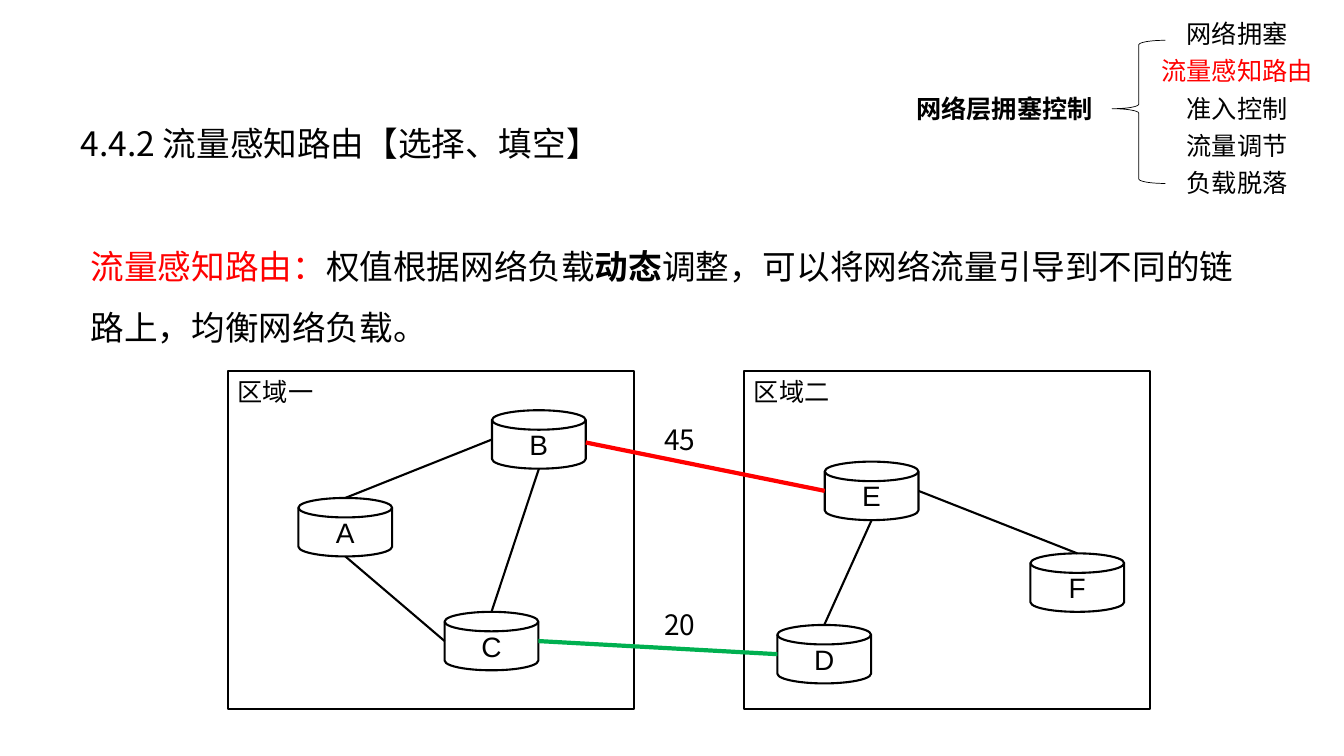
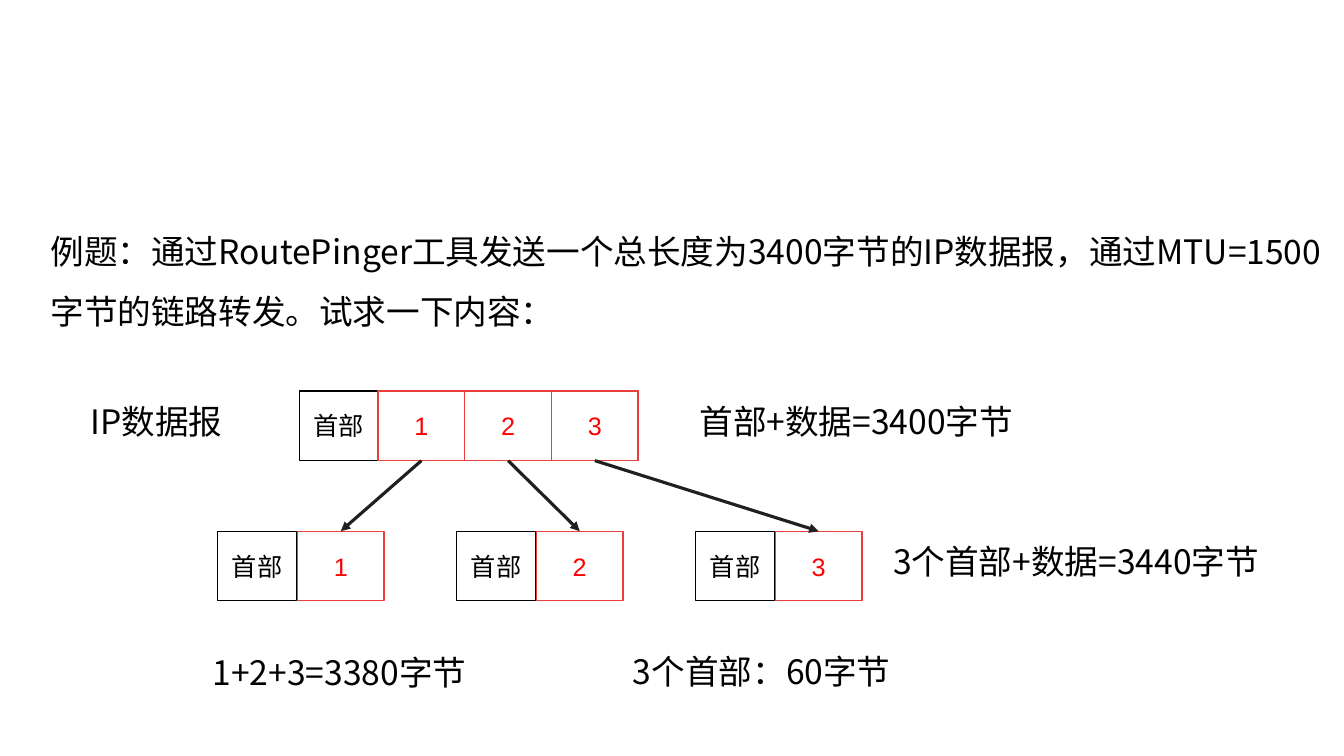
from dataclasses import dataclass
from typing import Optional

from lxml.etree import SubElement
from pptx import Presentation
from pptx.dml.color import RGBColor
from pptx.enum.shapes import MSO_CONNECTOR as Conn, MSO_SHAPE as Shape
from pptx.enum.text import MSO_ANCHOR as Anchor, MSO_AUTO_SIZE as AutoSize, PP_ALIGN as Align
from pptx.oxml.ns import qn
from pptx.util import Inches, Pt

COLORS = {
    "black": "000000",
    "white": "FFFFFF",
    "red": "FF0000",
    "green": "00B050",
    "part": "E9403C",
    "arrow": "202020",
}
CJK = "Noto Sans CJK SC"
LATIN = "Arial"
DISK_W, DISK_H = 0.93, 0.58
BOX_H = 0.69
HEADER_W, PART_W = 0.78, 0.86
DATAGRAM_X, DATAGRAM_Y = 3.75, 3.88
FRAGMENT_X, FRAGMENT_Y, FRAGMENT_STEP = 2.95, 5.27, 2.37


@dataclass(frozen=True)
class Run:
    text: str
    size: int = 24
    color: str = "black"
    bold: bool = False
    font: str = CJK


@dataclass(frozen=True)
class Router:
    name: str
    x: float
    y: float

    def side(self, where: str) -> tuple[float, float]:
        fx, fy = {"top": (0.5, 0), "left": (0, 0.5), "bottom": (0.5, 1), "right": (1, 0.5)}[where]
        return self.x + DISK_W * fx, self.y + DISK_H * fy


@dataclass(frozen=True)
class Link:
    start: str
    start_side: str
    end: str
    end_side: str
    color: str = "black"
    width: float = 1.5
    start_dy: float = 0


@dataclass(frozen=True)
class Label:
    text: str
    x: float
    y: float
    w: float
    h: float = 0.5
    size: int = 24


ROUTERS = {r.name: r for r in (
    Router("A", 2.96, 4.94),
    Router("B", 4.88, 4.07),
    Router("C", 4.41, 6.07),
    Router("D", 7.71, 6.2),
    Router("E", 8.18, 4.58),
    Router("F", 10.22, 5.49),
)}
LINKS = (
    Link("A", "top", "B", "left"),
    Link("C", "top", "B", "bottom"),
    Link("C", "left", "A", "bottom"),
    Link("B", "right", "E", "left", "red", 3, 0.03),
    Link("D", "top", "E", "bottom"),
    Link("C", "right", "D", "left", "green", 3),
    Link("E", "right", "F", "top"),
)
REGIONS = (("区域一", 2.26), ("区域二", 7.38))
COSTS = (Label("45", 6.49, 4.14, 0.6, 0.44, 20), Label("20", 6.49, 5.98, 0.6, 0.44, 20))
TOPICS = ("网络拥塞", "流量感知路由", "准入控制", "流量调节", "负载脱落")
CURRENT_TOPIC = "流量感知路由"
NOTES = (
    Label("IP数据报", 0.8, 3.93, 1.51),
    Label("1+2+3=3380字节", 2.01, 6.42, 3.47),
    Label("3个首部：60字节", 6.18, 6.41, 3.47),
    Label("首部+数据=3400字节", 6.84, 3.93, 4.1),
    Label("3个首部+数据=3440字节", 8.76, 5.32, 4.1),
)


def rgb(name: str) -> RGBColor:
    return RGBColor.from_string(COLORS[name])


def add_runs(p, *runs: Run) -> None:
    for run in runs:
        r = p.add_run()
        r.text = run.text
        r.font.size = Pt(run.size)
        r.font.bold = run.bold
        r.font.color.rgb = rgb(run.color)
        r.font.name = run.font
        SubElement(r.font._element, qn("a:ea"), typeface=CJK)


def place(sp, x: float, y: float, w: float, h: float) -> None:
    sp.left, sp.top, sp.width, sp.height = Inches(x), Inches(y), Inches(w), Inches(h)


def fill_title(s, text: str) -> None:
    sp = s.shapes.title
    place(sp, 0.68, 0.8, 6.75, 1.04)
    tf = sp.text_frame
    tf.auto_size = AutoSize.NONE
    tf.vertical_anchor = Anchor.MIDDLE
    tf.margin_left = tf.margin_right = Inches(0.12)
    tf.margin_top = tf.margin_bottom = Inches(0.06)
    p = tf.paragraphs[0]
    p.alignment = Align.LEFT
    p.line_spacing = 1.5
    add_runs(p, Run(text))


def fill_body(s, x: float, y: float, w: float, *runs: Run) -> None:
    sp = s.placeholders[1]
    place(sp, x, y, w, 1.31)
    tf = sp.text_frame
    tf.auto_size = AutoSize.NONE
    p = tf.paragraphs[0]
    pPr = p._p.get_or_add_pPr()
    pPr.set("marL", "0")
    pPr.set("indent", "0")
    SubElement(pPr, qn("a:buNone"))
    p.line_spacing = 1.5
    p.space_before = Pt(0)
    add_runs(p, *runs)


def add_text(shapes, x: float, y: float, w: float, h: float, run: Run, wrap: bool = True):
    sp = shapes.add_textbox(Inches(x), Inches(y), Inches(w), Inches(h))
    tf = sp.text_frame
    tf.word_wrap = wrap
    tf.auto_size = AutoSize.SHAPE_TO_FIT_TEXT
    p = tf.paragraphs[0]
    add_runs(p, run)
    return p


def add_labels(s, labels: tuple[Label, ...]) -> None:
    for label in labels:
        add_text(s.shapes, label.x, label.y, label.w, label.h, Run(label.text, label.size))


def add_box(shapes, kind: Shape, x: float, y: float, w: float, h: float, run: Optional[Run] = None,
            line: str = "black", width: float = 1.5, fill: Optional[str] = None,
            align: Align = Align.CENTER, anchor: Anchor = Anchor.MIDDLE):
    sp = shapes.add_shape(kind, Inches(x), Inches(y), Inches(w), Inches(h))
    sp.shadow.inherit = False
    if fill:
        sp.fill.solid()
        sp.fill.fore_color.rgb = rgb(fill)
    else:
        sp.fill.background()
    sp.line.color.rgb = rgb(line)
    sp.line.width = Pt(width)
    if run:
        tf = sp.text_frame
        tf.vertical_anchor = anchor
        p = tf.paragraphs[0]
        p.alignment = align
        add_runs(p, run)
    return sp


def add_line(s, start: tuple[float, float], end: tuple[float, float], color: str, width: float):
    ends = [Inches(v) for v in (*start, *end)]
    cx = s.shapes.add_connector(Conn.STRAIGHT, *ends)
    cx.line.color.rgb = rgb(color)
    cx.line.width = Pt(width)
    SubElement(cx._element.spPr, qn("a:effectLst"))
    return cx


def add_arrow(s, source, target) -> None:
    cx = add_line(s, (0, 0), (1, 1), "arrow", 2.25)
    cx.begin_connect(source, 2)
    cx.end_connect(target, 0)
    SubElement(cx.line._get_or_add_ln(), qn("a:tailEnd"), type="triangle")


def add_outline(s) -> None:
    shapes = s.shapes.add_group_shape().shapes
    brace = add_box(shapes, Shape.LEFT_BRACE, 11.03, 0.4, 0.53, 1.42, width=0.5)
    brace.adjustments[0] = 0.083
    brace.adjustments[1] = 0.478
    add_text(shapes, 8.99, 0.88, 1.98, 0.4, Run("网络层拥塞控制", 18, bold=True), wrap=False)
    for i, topic in enumerate(TOPICS):
        color = "red" if topic == CURRENT_TOPIC else "black"
        p = add_text(shapes, 11.41, 0.21 + 0.37 * i, 1.72, 0.33, Run(topic, 18, color), wrap=False)
        p.alignment = Align.CENTER
        p.line_spacing = Pt(16)


def add_header(s, x: float, y: float) -> None:
    add_box(s.shapes, Shape.RECTANGLE, x, y, HEADER_W, BOX_H, Run("首部", 18, font=LATIN),
            width=1, fill="white")


def add_part(s, number: int, x: float, y: float):
    return add_box(s.shapes, Shape.RECTANGLE, x, y, PART_W, BOX_H,
                   Run(str(number), 18, "red", font=LATIN), "part", 1)


def build_routing(prs) -> None:
    s = prs.slides.add_slide(prs.slide_layouts[1])
    fill_title(s, "4.4.2 流量感知路由【选择、填空】")
    fill_body(s, 0.8, 2.19, 11.59,
              Run("流量感知路由：", color="red"),
              Run("权值根据网络负载"),
              Run("动态", bold=True),
              Run("调整，可以将网络流量引导到不同的链路上，均衡网络负载。"))
    add_outline(s)
    for name, x in REGIONS:
        add_box(s.shapes, Shape.RECTANGLE, x, 3.68, 4.03, 3.35, Run(name, 18, font=LATIN),
                align=Align.LEFT, anchor=Anchor.TOP)
    for router in ROUTERS.values():
        add_box(s.shapes, Shape.FLOWCHART_MAGNETIC_DISK, router.x, router.y, DISK_W, DISK_H,
                Run(router.name, 20, font=LATIN))
    for link in LINKS:
        x, y = ROUTERS[link.start].side(link.start_side)
        end = ROUTERS[link.end].side(link.end_side)
        add_line(s, (x, y + link.start_dy), end, link.color, link.width)
    add_labels(s, COSTS)


def build_fragments(prs) -> None:
    s = prs.slides.add_slide(prs.slide_layouts[1])
    title = s.shapes.title.element
    title.getparent().remove(title)
    fill_body(s, 0.4, 2.04, 12.94,
              Run("例题：通过RoutePinger工具发送一个总长度为3400字节的IP数据报，"
                  "通过MTU=1500字节的链路转发。试求一下内容："))
    add_box(s.shapes, Shape.RECTANGLE, DATAGRAM_X, DATAGRAM_Y, 3 * PART_W, BOX_H,
            width=1, fill="white")
    add_header(s, DATAGRAM_X - HEADER_W, DATAGRAM_Y)
    for i in range(3):
        x = FRAGMENT_X + FRAGMENT_STEP * i
        source = add_part(s, i + 1, DATAGRAM_X + PART_W * i, DATAGRAM_Y)
        target = add_part(s, i + 1, x, FRAGMENT_Y)
        add_arrow(s, source, target)
        add_header(s, x - HEADER_W - 0.01, FRAGMENT_Y)
    add_labels(s, NOTES)


def main() -> None:
    prs = Presentation()
    prs.slide_width, prs.slide_height = Inches(13.33), Inches(7.5)
    build_routing(prs)
    build_fragments(prs)
    prs.save("out.pptx")


if __name__ == "__main__":
    main()
